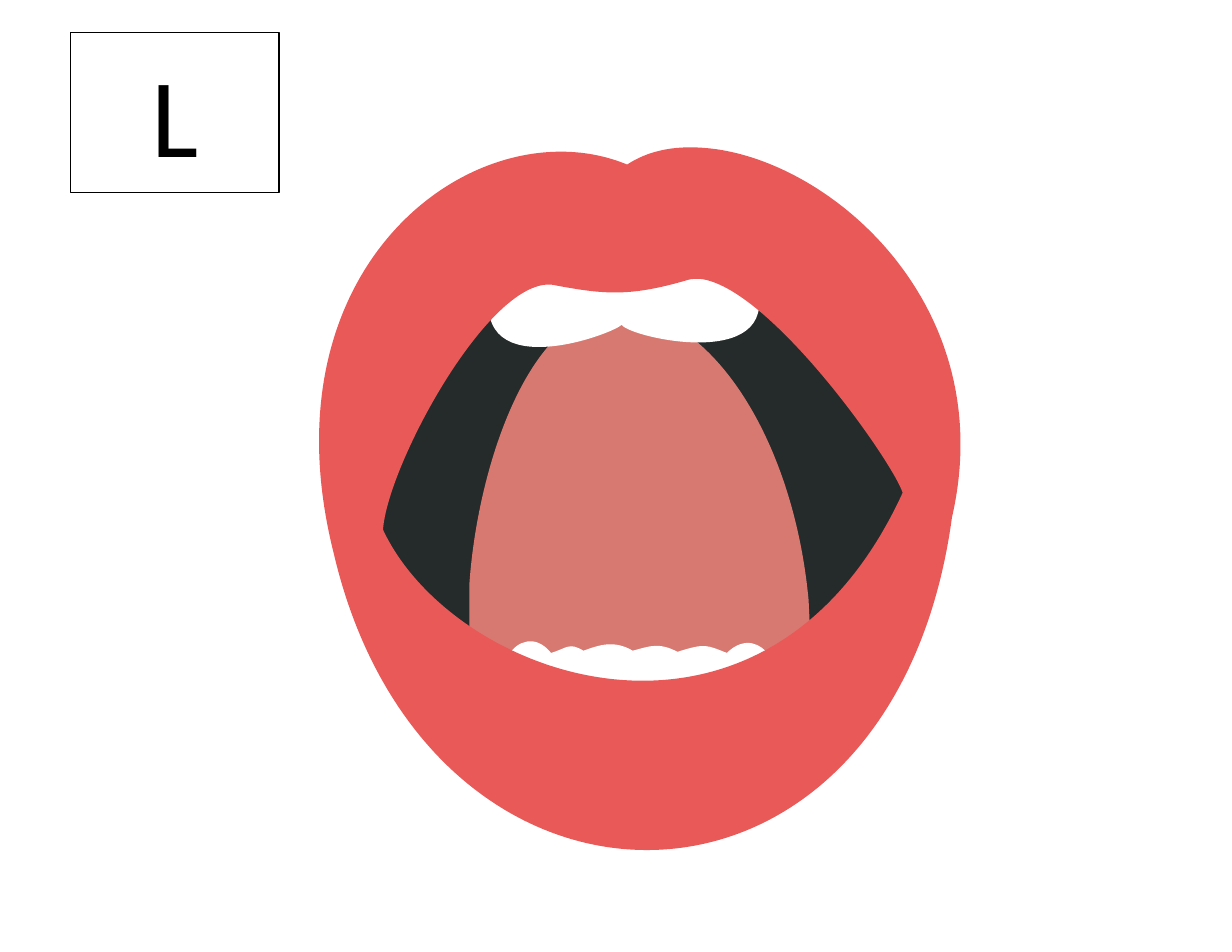
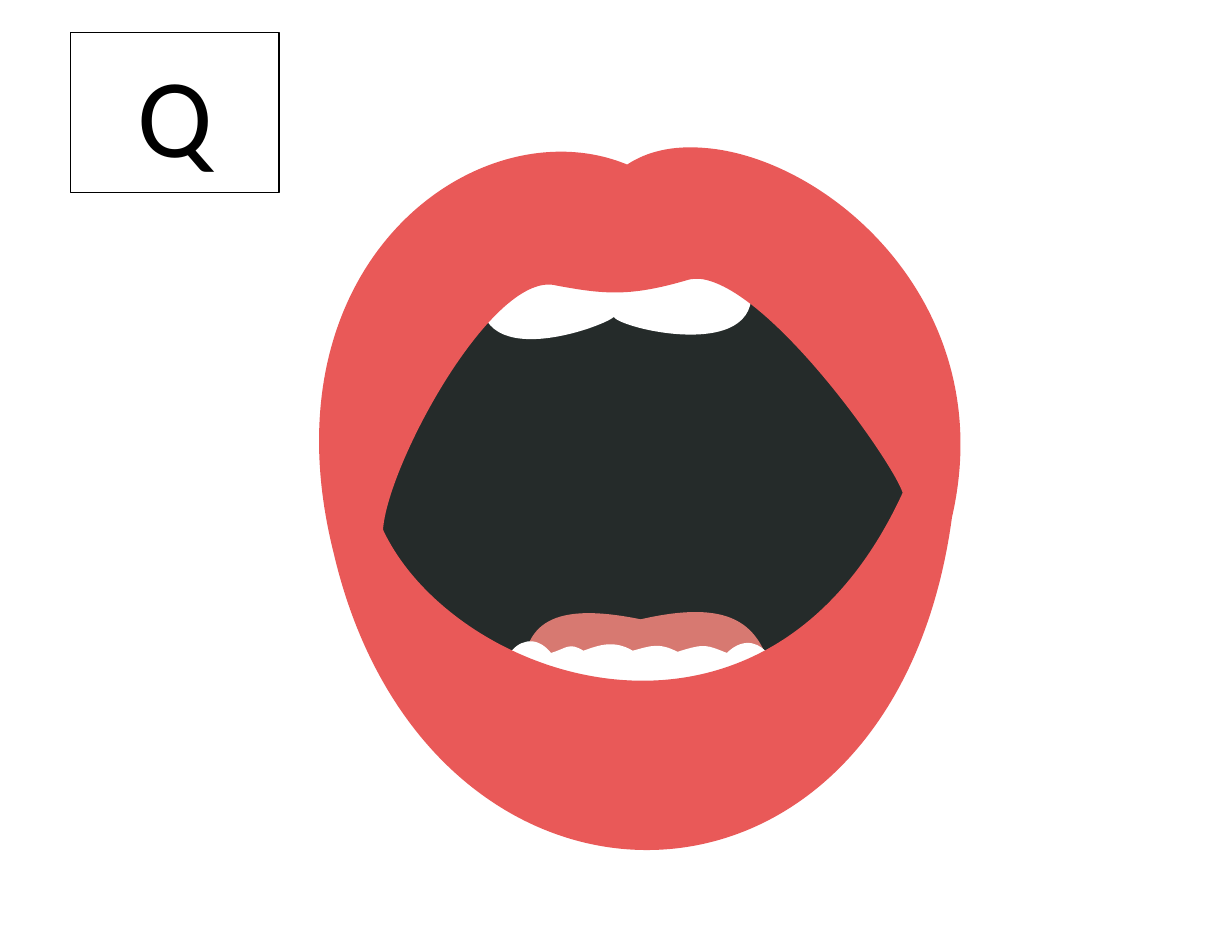
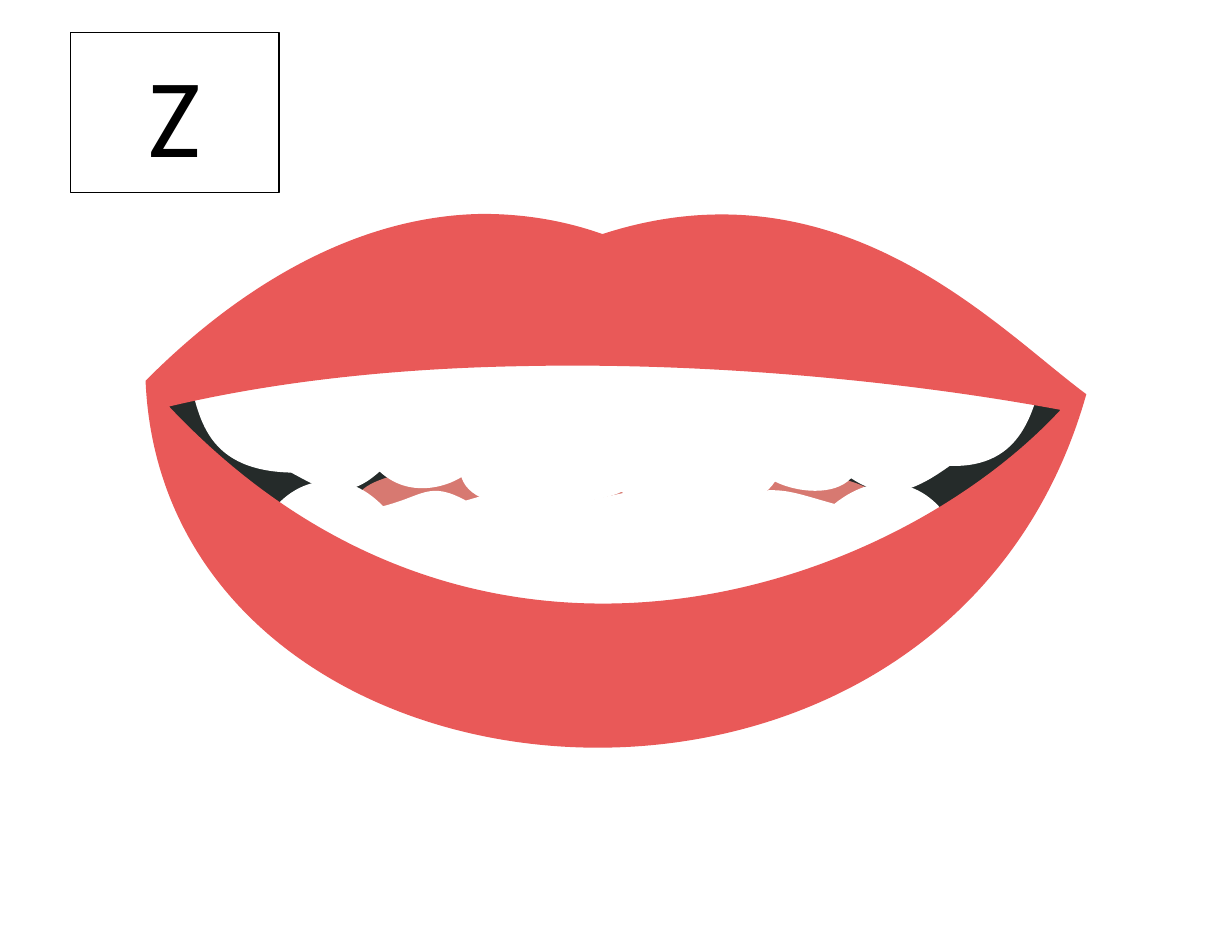
from dataclasses import dataclass
from typing import NamedTuple

import lxml.etree
import pptx
import pptx.dml.color
import pptx.enum.shapes
import pptx.enum.text
import pptx.oxml.ns
import pptx.util

Inches = pptx.util.Inches
RGBColor = pptx.dml.color.RGBColor
qn = pptx.oxml.ns.qn

# Shared style
WHITE = RGBColor(0xFF, 0xFF, 0xFF)
BLACK = RGBColor(0x00, 0x00, 0x00)
LIP_RED = RGBColor(0xE9, 0x59, 0x58)
TONGUE_PINK = RGBColor(0xD7, 0x79, 0x71)
CAVITY_DARK = RGBColor(0x25, 0x2B, 0x2A)
FONT_NAME = "Calibri"
LETTER_SIZE = 72
PAGE_WIDTH, PAGE_HEIGHT = 11, 8.5
BOUND_STEPS = 60

Point = tuple[float, float]


class Contour(NamedTuple):
    """Closed outline in inches: two numbers make a line, six a cubic curve."""
    start: Point
    segments: tuple[tuple[float, ...], ...]


@dataclass(frozen=True)
class Part:
    """One filled part of a mouth; later contours cut holes."""
    color: RGBColor
    contours: tuple[Contour, ...]
    shift: float = 0
    line_width: float = 0


@dataclass(frozen=True)
class Card:
    letter: str
    mouth: tuple[Part, ...]
    letter_in_front: bool = False


# Wide-open mouth
OPEN_LIPS_EDGE = Contour((6.27, 1.32), (
    (7.38, 1.39, 8.94, 2.71, 8.5, 4.62),
    (7.97, 8.52, 3.82, 8.53, 2.98, 4.94),
    (2.32, 2.32, 4.3, 0.93, 5.6, 1.47),
    (5.78, 1.35, 6.01, 1.3, 6.27, 1.32),
))
OPEN_LIPS_GAP = Contour((6.25, 2.49), (
    (6.21, 2.49, 6.17, 2.49, 6.14, 2.5),
    (5.63, 2.65, 5.4, 2.63, 4.97, 2.55),
    (4.41, 2.4, 3.46, 4.14, 3.42, 4.73),
    (4.05, 6.08, 6.84, 7.06, 8.06, 4.4),
    (7.97, 4.12, 6.87, 2.56, 6.25, 2.49),
))
OPEN_UPPER_TEETH = Contour((4.4, 2.47), (
    (6.73, 2.47),
    (7.06, 3.34, 5.63, 3.02, 5.55, 2.9),
    (5.46, 2.99, 4.12, 3.48, 4.4, 2.47),
))
OPEN_LOWER_TEETH = Contour((4.71, 6.15), (
    (4.26, 6.12, 4.64, 5.48, 4.92, 5.83),
    (5.06, 5.79, 5.08, 5.73, 5.21, 5.81),
    (5.35, 5.76, 5.48, 5.71, 5.65, 5.81),
    (5.83, 5.76, 5.89, 5.74, 6.05, 5.82),
    (6.3, 5.74, 6.31, 5.76, 6.49, 5.83),
    (6.81, 5.52, 7.09, 6.11, 6.79, 6.16),
    (5.92, 6.33, 5.44, 6.43, 4.71, 6.15),
))
OPEN_FRONT = (
    Part(WHITE, (OPEN_LOWER_TEETH,)),
    Part(LIP_RED, (OPEN_LIPS_EDGE, OPEN_LIPS_GAP)),
)

# Tongue and cavity for each open-mouth letter
L_CAVITY = Contour((3.1, 4.83), (
    (3.15, 4.17, 4.2, 2.24, 4.83, 2.4),
    (5.31, 2.5, 5.56, 2.51, 6.12, 2.35),
    (6.76, 2.17, 8.16, 4.13, 8.26, 4.46),
    (6.91, 7.41, 3.81, 6.33, 3.1, 4.83),
))
L_TONGUE = Contour((5.44, 2.77), (
    (6.28, 2.69, 7.08, 3.85, 7.22, 5.36),
    (7.23, 5.58),
    (7.23, 5.59),
    (6.29, 6.38, 5.07, 6.22, 4.23, 5.68),
    (4.19, 5.64),
    (4.19, 5.23),
    (4.26, 4.18, 4.71, 2.84, 5.44, 2.77),
))
Q_CAVITY = Contour((3.42, 4.73), (
    (3.46, 4.14, 4.41, 2.4, 4.97, 2.55),
    (5.4, 2.63, 5.63, 2.65, 6.14, 2.5),
    (6.71, 2.34, 7.97, 4.1, 8.06, 4.4),
    (6.84, 7.06, 4.05, 6.08, 3.42, 4.73),
))
Q_TONGUE = Contour((5.72, 5.53), (
    (6.59, 5.33, 6.8, 5.61, 6.91, 6.08),
    (6.91, 6.11, 6.92, 6.13, 6.92, 6.15),
    (6.91, 6.15),
    (6.21, 6.4, 5.3, 6.35, 4.68, 6.18),
    (4.64, 6.17),
    (4.65, 6.04),
    (4.7, 5.71, 4.75, 5.33, 5.72, 5.53),
))

# Smiling mouth
Z_CAVITY = Contour((1.39, 3.62), (
    (4.03, 2.95, 7.4, 3.23, 9.49, 3.66),
    (8, 5.39, 4.24, 6.88, 1.39, 3.62),
))
Z_TONGUE = Contour((3.23, 4.38), (
    (3.65, 3.95, 7.41, 4, 7.84, 4.42),
    (8.24, 4.83, 6.34, 5.92, 5.57, 5.91),
    (4.8, 5.91, 2.82, 4.82, 3.23, 4.38),
))
Z_LOWER_TEETH = Contour((2.87, 5.18), (
    (1.72, 5.12, 2.7, 3.77, 3.42, 4.52),
    (3.78, 4.43, 3.83, 4.29, 4.16, 4.47),
    (4.51, 4.37, 4.84, 4.24, 5.3, 4.46),
    (5.76, 4.36, 5.91, 4.31, 6.31, 4.49),
    (6.94, 4.31, 6.98, 4.37, 7.45, 4.5),
    (8.26, 3.85, 8.98, 5.1, 8.22, 5.21),
    (5.99, 5.57, 4.75, 5.79, 2.87, 5.18),
))
Z_UPPER_TEETH = Contour((4.58, 2.99), (
    (6.3, 2.96, 7.68, 3.05, 9.09, 3.24),
    (9.33, 3.28),
    (9.23, 3.64, 9.15, 4.18, 8.48, 4.16),
    (8.17, 4.38, 7.93, 4.49, 7.6, 4.27),
    (7.45, 4.43, 7.12, 4.4, 6.92, 4.3),
    (6.67, 4.69, 5.71, 4.53, 5.55, 4.39),
    (5.43, 4.47, 4.26, 4.7, 4.12, 4.26),
    (3.98, 4.35, 3.65, 4.45, 3.39, 4.21),
    (3.06, 4.51, 2.83, 4.34, 2.6, 4.22),
    (1.78, 4.2, 1.78, 3.65, 1.67, 3.32),
    (2.03, 3.17),
    (2.86, 3.06, 3.72, 3.01, 4.58, 2.99),
))
Z_LIPS_EDGE = Contour((4.31, 1.91), (
    (4.65, 1.91, 5.01, 1.96, 5.38, 2.09),
    (7.5, 1.4, 8.9, 2.93, 9.7, 3.52),
    (8.42, 8.06, 1.47, 7.42, 1.3, 3.4),
    (1.69, 3.01, 2.83, 1.93, 4.31, 1.91),
))
Z_LIPS_GAP = Contour((4.63, 3.27), (
    (3.56, 3.29, 2.48, 3.4, 1.51, 3.63),
    (4.31, 6.6, 8, 5.25, 9.47, 3.66),
    (8.18, 3.42, 6.41, 3.23, 4.63, 3.27),
))

# Slides, with mouth parts from back to front
CARDS = (
    Card("L", (
        Part(CAVITY_DARK, (L_CAVITY,)),
        Part(TONGUE_PINK, (L_TONGUE,)),
        Part(WHITE, (OPEN_UPPER_TEETH,)),
        *OPEN_FRONT,
    )),
    Card("Q", (
        Part(CAVITY_DARK, (Q_CAVITY,), line_width=6),
        Part(TONGUE_PINK, (Q_TONGUE,)),
        Part(WHITE, (OPEN_UPPER_TEETH,), shift=-0.07),
        *OPEN_FRONT,
    )),
    Card("Z", (
        Part(CAVITY_DARK, (Z_CAVITY,)),
        Part(TONGUE_PINK, (Z_TONGUE,)),
        Part(WHITE, (Z_LOWER_TEETH,)),
        Part(WHITE, (Z_UPPER_TEETH,)),
        Part(LIP_RED, (Z_LIPS_EDGE, Z_LIPS_GAP)),
    ), letter_in_front=True),
)


def pairs(segment: tuple[float, ...]) -> list[Point]:
    return list(zip(segment[::2], segment[1::2]))


def curve_point(controls: list[Point], t: float) -> Point:
    """Point on a Bézier curve, found by repeated interpolation."""
    while len(controls) > 1:
        controls = [(ax + (bx - ax) * t, ay + (by - ay) * t)
                    for (ax, ay), (bx, by) in zip(controls, controls[1:])]
    return controls[0]


def bounds(contour: Contour) -> tuple[float, float, float, float]:
    """Left, top, right and bottom of the drawn outline."""
    points, pen = [contour.start], contour.start
    for segment in contour.segments:
        controls = [pen, *pairs(segment)]
        points += [curve_point(controls, step / BOUND_STEPS)
                   for step in range(1, BOUND_STEPS + 1)]
        pen = controls[-1]
    across, down = zip(*points)
    return min(across), min(down), max(across), max(down)


def paint(shape, fill: RGBColor, line: RGBColor, line_width: float) -> None:
    shape.shadow.inherit = False
    shape.fill.solid()
    shape.fill.fore_color.rgb = fill
    if line_width:
        shape.line.color.rgb = line
        shape.line.width = pptx.util.Pt(line_width)
    else:
        shape.line.fill.background()


def add_box(page, left: float, top: float, width: float, height: float, line: RGBColor):
    box = page.shapes.add_shape(
        pptx.enum.shapes.MSO_SHAPE.RECTANGLE,
        Inches(left), Inches(top), Inches(width), Inches(height))
    paint(box, WHITE, line, 1)
    return box


def add_letter(page, letter: str) -> None:
    box = add_box(page, 0.63, 0.29, 1.86, 1.43, BLACK)
    box.text_frame.text = letter
    box.text_frame.vertical_anchor = pptx.enum.text.MSO_ANCHOR.MIDDLE
    para = box.text_frame.paragraphs[0]
    para.alignment = pptx.enum.text.PP_ALIGN.CENTER
    span = para.runs[0]
    span.font.name = FONT_NAME
    span.font.size = pptx.util.Pt(LETTER_SIZE)
    span.font.color.rgb = BLACK


def add_command(outline, tag: str, points: list[Point], left: float, top: float) -> None:
    command = lxml.etree.SubElement(outline, qn(tag))
    for x, y in points:
        lxml.etree.SubElement(command, qn("a:pt"),
                              x=str(Inches(x - left)), y=str(Inches(y - top)))


def add_part(group, part: Part) -> None:
    # Frame the freeform on its outer edge, then give it true curves
    left, top, right, bottom = bounds(part.contours[0])
    builder = group.shapes.build_freeform(
        Inches(left + part.shift), Inches(top + part.shift))
    builder.add_line_segments(
        [(Inches(right + part.shift), Inches(bottom + part.shift))])
    shape = builder.convert_to_shape()
    outline = next(shape.element.iter(qn("a:path")))
    del outline[:]
    for contour in part.contours:
        add_command(outline, "a:moveTo", [contour.start], left, top)
        for segment in contour.segments:
            tag = "a:lnTo" if len(segment) == 2 else "a:cubicBezTo"
            add_command(outline, tag, pairs(segment), left, top)
        add_command(outline, "a:close", [], left, top)
    paint(shape, part.color, part.color, part.line_width)


def add_card(deck, card: Card) -> None:
    page = deck.slides.add_slide(deck.slide_layouts[6])
    add_box(page, 0, 0, PAGE_WIDTH, PAGE_HEIGHT, WHITE)
    if not card.letter_in_front:
        add_letter(page, card.letter)
    mouth = page.shapes.add_group_shape()
    for part in card.mouth:
        add_part(mouth, part)
    if card.letter_in_front:
        add_letter(page, card.letter)


def main() -> None:
    deck = pptx.Presentation()
    deck.slide_width = Inches(PAGE_WIDTH)
    deck.slide_height = Inches(PAGE_HEIGHT)
    for card in CARDS:
        add_card(deck, card)
    deck.save("out.pptx")


if __name__ == "__main__":
    main()
